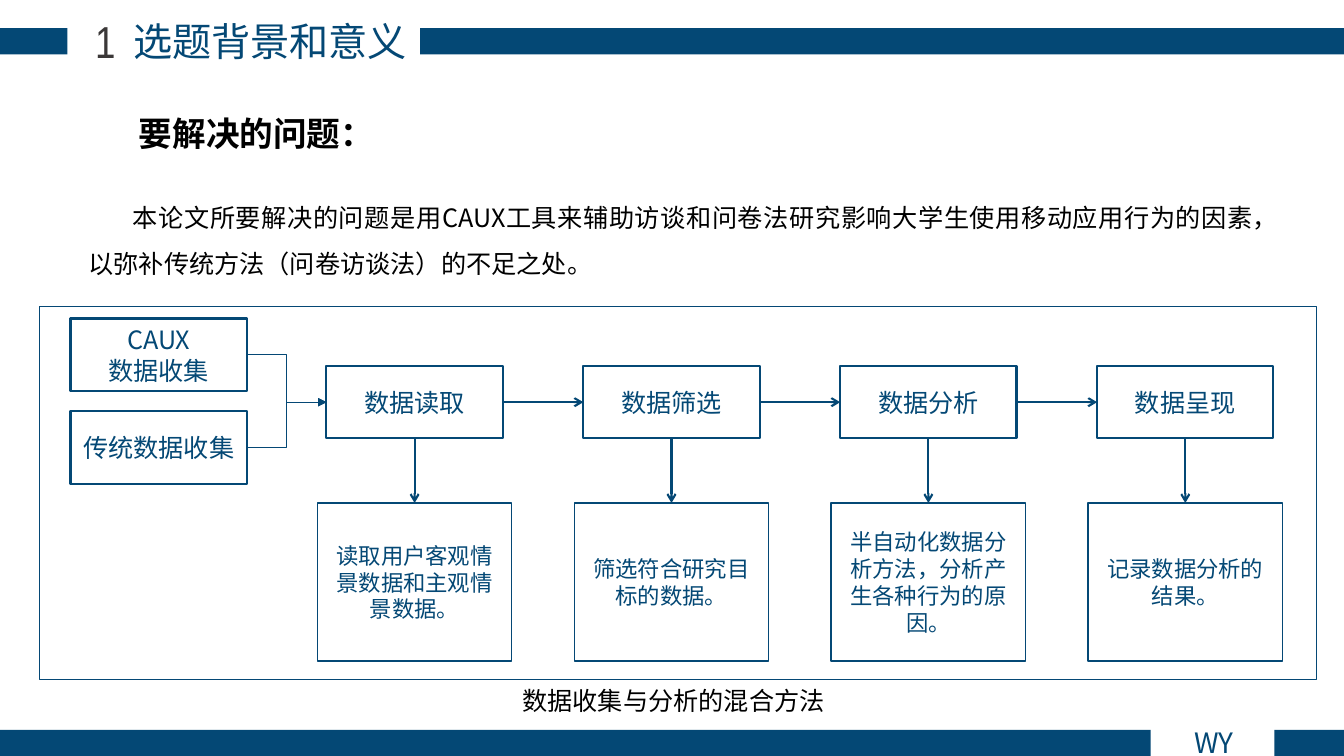
from lxml import etree
from pptx import Presentation
from pptx.dml.color import RGBColor
from pptx.enum.shapes import MSO_CONNECTOR, MSO_SHAPE
from pptx.enum.text import MSO_ANCHOR, PP_ALIGN
from pptx.oxml.ns import qn
from pptx.util import Inches, Pt

RECTANGLE = MSO_SHAPE.RECTANGLE
STRAIGHT, ELBOW = MSO_CONNECTOR.STRAIGHT, MSO_CONNECTOR.ELBOW
LEFT, CENTER, JUSTIFY = PP_ALIGN.LEFT, PP_ALIGN.CENTER, PP_ALIGN.JUSTIFY
MIDDLE = MSO_ANCHOR.MIDDLE
TOP_SIDE, LEFT_SIDE, BOTTOM_SIDE, RIGHT_SIDE = range(4)

BLUE = RGBColor(0x04, 0x48, 0x75)
GRAY = RGBColor(0x3B, 0x38, 0x38)
BLACK = RGBColor(0, 0, 0)
WHITE = RGBColor(0xFF, 0xFF, 0xFF)

TITLE_FONT = "Noto Sans CJK SC"
BOX_FONT = "Noto Sans CJK JP"
NUMBER_FONT = "Arial Narrow"
CAPTION_FONT = "Calibri"

SLIDE_WIDTH, SLIDE_HEIGHT = 13.34, 7.5
BAND_HEIGHT = 0.26

SOURCES = ["CAUX\n数据收集", "传统数据收集"]
STEPS = [
    ("数据读取", "读取用户客观情景数据和主观情景数据。"),
    ("数据筛选", "筛选符合研究目标的数据。"),
    ("数据分析", "半自动化数据分析方法，分析产生各种行为的原因。"),
    ("数据呈现", "记录数据分析的结果。"),
]
PROBLEM = ("本论文所要解决的问题是用CAUX工具来辅助访谈和问卷法研究影响大学生使用移动应用行为的因素，"
           "以弥补传统方法（问卷访谈法）的不足之处。")


def set_font(run, name):
    """Set the typeface for both Latin and East Asian characters."""
    run.font.name = name
    east_asian = etree.SubElement(run.font._element, qn("a:ea"))
    east_asian.set("typeface", name)


def write(shape, text, size, font, color, align=CENTER, bold=False):
    frame = shape.text_frame
    frame.word_wrap = True
    frame.text = text
    for paragraph in frame.paragraphs:
        paragraph.alignment = align
        for run in paragraph.runs:
            set_font(run, font)
            run.font.size = Pt(size)
            run.font.bold = bold
            run.font.color.rgb = color


def add_text(slide, box, text, size, font, color, align=CENTER, bold=False):
    shape = slide.shapes.add_textbox(*map(Inches, box))
    write(shape, text, size, font, color, align, bold)
    return shape


def add_rectangle(slide, box, fill=None, line_width=0):
    shape = slide.shapes.add_shape(RECTANGLE, *map(Inches, box))
    shape.shadow.inherit = False
    if fill is None:
        shape.fill.background()
    else:
        shape.fill.solid()
        shape.fill.fore_color.rgb = fill
    if line_width:
        shape.line.color.rgb = BLUE
        shape.line.width = Pt(line_width)
    else:
        shape.line.fill.background()
    return shape


def add_box(slide, box, text, size, line_width):
    shape = add_rectangle(slide, box, WHITE, line_width)
    write(shape, text, size, BOX_FONT, BLUE)
    shape.text_frame.vertical_anchor = MIDDLE
    return shape


def add_arrow(slide, start, start_side, end, end_side, kind=STRAIGHT, width=1.5, head="arrow"):
    connector = slide.shapes.add_connector(kind, 0, 0, 0, 0)
    connector.begin_connect(start, start_side)
    connector.end_connect(end, end_side)
    connector.line.color.rgb = BLUE
    connector.line.width = Pt(width)
    properties = connector._element.spPr
    etree.SubElement(properties.find(qn("a:ln")), qn("a:tailEnd")).set("type", head)
    etree.SubElement(properties, qn("a:effectLst"))


def add_band(slide, top, gap_left, gap_right):
    """Draw a band across the slide with one gap in it."""
    add_rectangle(slide, (0, top, gap_left, BAND_HEIGHT), BLUE)
    add_rectangle(slide, (gap_right, top, SLIDE_WIDTH - gap_right, BAND_HEIGHT), BLUE)


def add_header(slide, top):
    add_band(slide, top + 0.28, 0.67, 4.17)
    add_text(slide, (0.88, top + 0.12, 3.6, 0.57), "选题背景和意义", 28, TITLE_FONT, BLUE)
    add_text(slide, (0.65, top + 0.09, 0.79, 0.64), "1", 32, NUMBER_FONT, GRAY)


def add_footer(slide, top):
    add_band(slide, top, 11.42, 12.65)
    add_text(slide, (11.23, top - 0.09, 1.64, 0.44), "WY", 20, TITLE_FONT, BLUE)


def add_problem(slide, left, top, width):
    add_text(slide, (left + 0.5, top, 2.81, 0.5), "要解决的问题：", 24, TITLE_FONT, BLACK, LEFT, True)
    body = add_text(slide, (left, top + 0.74, width, 1.05), PROBLEM, 18, TITLE_FONT, BLACK, JUSTIFY)
    paragraph = body.text_frame.paragraphs[0]
    paragraph.line_spacing = 1.5
    paragraph._p.get_or_add_pPr().set("indent", str(Inches(0.44)))


def add_flowchart(slide, left, top, width, height):
    step_width, step_height = 1.75, 0.72
    detail_width, detail_height = 1.93, 1.57
    source_pitch, step_pitch = 0.92, 2.55
    add_rectangle(slide, (left, top, width, height), line_width=1)

    sources = [
        add_box(slide, (left + 0.31, top + 0.12 + row * source_pitch, step_width, step_height), text, 18, 1.5)
        for row, text in enumerate(SOURCES)
    ]
    steps = []
    for column, (name, detail) in enumerate(STEPS):
        step_left = left + 2.85 + column * step_pitch
        detail_left = step_left + (step_width - detail_width) / 2
        step = add_box(slide, (step_left, top + 0.59, step_width, step_height), name, 18, 1.5)
        detail_box = add_box(slide, (detail_left, top + 1.95, detail_width, detail_height), detail, 16, 1)
        add_arrow(slide, step, BOTTOM_SIDE, detail_box, TOP_SIDE)
        steps.append(step)

    for step, following in zip(steps, steps[1:]):
        add_arrow(slide, step, RIGHT_SIDE, following, LEFT_SIDE)
    for source in sources:
        add_arrow(slide, source, RIGHT_SIDE, steps[0], LEFT_SIDE, ELBOW, 0.5, "triangle")
    add_text(slide, (4.95, top + height + 0.01, 3.47, 0.4), "数据收集与分析的混合方法", 18, CAPTION_FONT, BLACK)


def main():
    presentation = Presentation()
    presentation.slide_width = Inches(SLIDE_WIDTH)
    presentation.slide_height = Inches(SLIDE_HEIGHT)
    slide = presentation.slides.add_slide(presentation.slide_layouts[6])
    add_header(slide, 0)
    add_footer(slide, SLIDE_HEIGHT - BAND_HEIGHT)
    add_problem(slide, 0.78, 1.07, 11.76)
    add_flowchart(slide, 0.39, 3.04, 12.68, 3.7)
    presentation.save("out.pptx")


if __name__ == "__main__":
    main()
